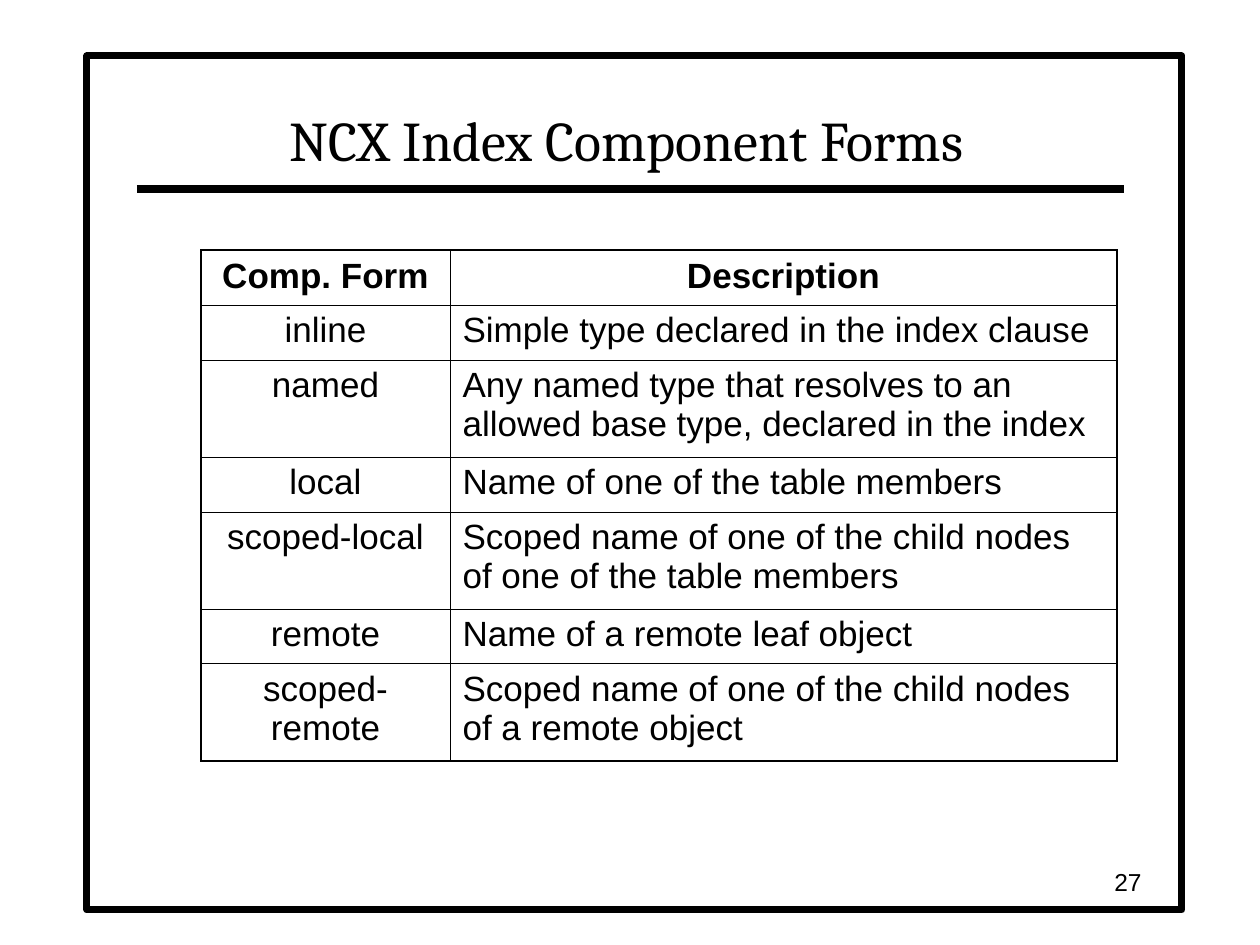
from lxml.etree import SubElement
from pptx import Presentation
from pptx.dml.color import RGBColor
from pptx.enum.shapes import MSO_CONNECTOR as Line, MSO_SHAPE as Shape
from pptx.enum.text import MSO_ANCHOR as Anchor, PP_ALIGN as Align
from pptx.oxml.ns import qn
from pptx.util import Emu, Pt

TITLE = "NCX Index Component Forms"
PAGE = "27"
HEAD = ("Comp. Form", "Description")
FORMS = [
    ("inline", "Simple type declared in the index clause"),
    ("named", "Any named type that resolves to an allowed base type, "
              "declared in the index"),
    ("local", "Name of one of the table members"),
    ("scoped-local", "Scoped name of one of the child nodes of one of "
                     "the table members"),
    ("remote", "Name of a remote leaf object"),
    ("scoped-remote", "Scoped name of one of the child nodes of a remote object"),
]
BLACK = RGBColor(0, 0, 0)
WHITE = RGBColor(255, 255, 255)
COLS = (249, 667)
SHORT, TALL = 55, 97
WRAP = 45  # letters that fit on one line of a description
THICK, THIN = 1.08, 0.45


def px(n):
    return Emu(n * 914400 // 126)


def box(*sides):
    return [px(n) for n in sides]


def style(par, face, size, align, bold=False):
    par.alignment = align
    font = par.font
    font.name, font.size, font.bold = face, Pt(size), bold
    font.color.rgb = BLACK


def border(cell, widths):
    """Draw left, right, top and bottom cell edges, widths in points."""
    props = cell._tc.get_or_add_tcPr()
    for i, (tag, width) in enumerate(zip(("lnL", "lnR", "lnT", "lnB"), widths)):
        edge = props.makeelement(qn("a:" + tag), {"w": str(Pt(width))})
        fill = SubElement(edge, qn("a:solidFill"))
        SubElement(fill, qn("a:srgbClr"), val=str(BLACK))
        props.insert(i, edge)


def add_frame(slide):
    frame = slide.shapes.add_shape(Shape.RECTANGLE, *box(87, 56, 1095, 854))
    frame.shadow.inherit = False
    frame.fill.solid()
    frame.fill.fore_color.rgb = WHITE
    frame.line.color.rgb = BLACK
    frame.line.width = Pt(4)
    slide.shapes._spTree.insert(2, frame._element)  # behind the title

    rule = slide.shapes.add_connector(Line.STRAIGHT, *box(137, 189, 1124, 189))
    rule.line.color.rgb = BLACK
    rule.line.width = Pt(4.5)
    SubElement(rule._element.spPr, qn("a:effectLst"))


def add_title(slide):
    title = slide.shapes.title
    title.left, title.top, title.width, title.height = box(136, 63, 982, 116)
    title.text_frame.text = TITLE
    title.text_frame.vertical_anchor = Anchor.BOTTOM
    style(title.text_frame.paragraphs[0], "Cambria", 32, Align.CENTER)


def add_forms(slide):
    rows = [HEAD] + FORMS
    highs = [TALL if len(text) > WRAP else SHORT for _, text in rows]
    table = slide.shapes.add_table(
        len(rows), len(COLS), *box(201, 250, sum(COLS), sum(highs))).table
    for col, wide in zip(table.columns, COLS):
        col.width = px(wide)
    last_r, last_c = len(rows) - 1, len(COLS) - 1
    for r, row in enumerate(rows):
        table.rows[r].height = px(highs[r])
        for c, text in enumerate(row):
            cell = table.cell(r, c)
            cell.text = text
            cell.fill.background()
            par = cell.text_frame.paragraphs[0]
            mid = r == 0 or c == 0
            style(par, "Arial", 20, Align.CENTER if mid else Align.LEFT, r == 0)
            outer = (c == 0, c == last_c, r == 0, r == last_r)
            border(cell, [THICK if out else THIN for out in outer])


def add_page(slide):
    frame = slide.shapes.add_textbox(*box(892, 861, 262, 42)).text_frame
    frame.word_wrap = True
    frame.vertical_anchor = Anchor.MIDDLE
    frame.text = PAGE
    style(frame.paragraphs[0], "Arial", 14, Align.RIGHT)


def main():
    deck = Presentation()
    deck.slide_width, deck.slide_height = box(1260, 945)
    slide = deck.slides.add_slide(deck.slide_layouts[5])
    add_frame(slide)
    add_title(slide)
    add_forms(slide)
    add_page(slide)
    deck.save("out.pptx")


if __name__ == "__main__":
    main()
